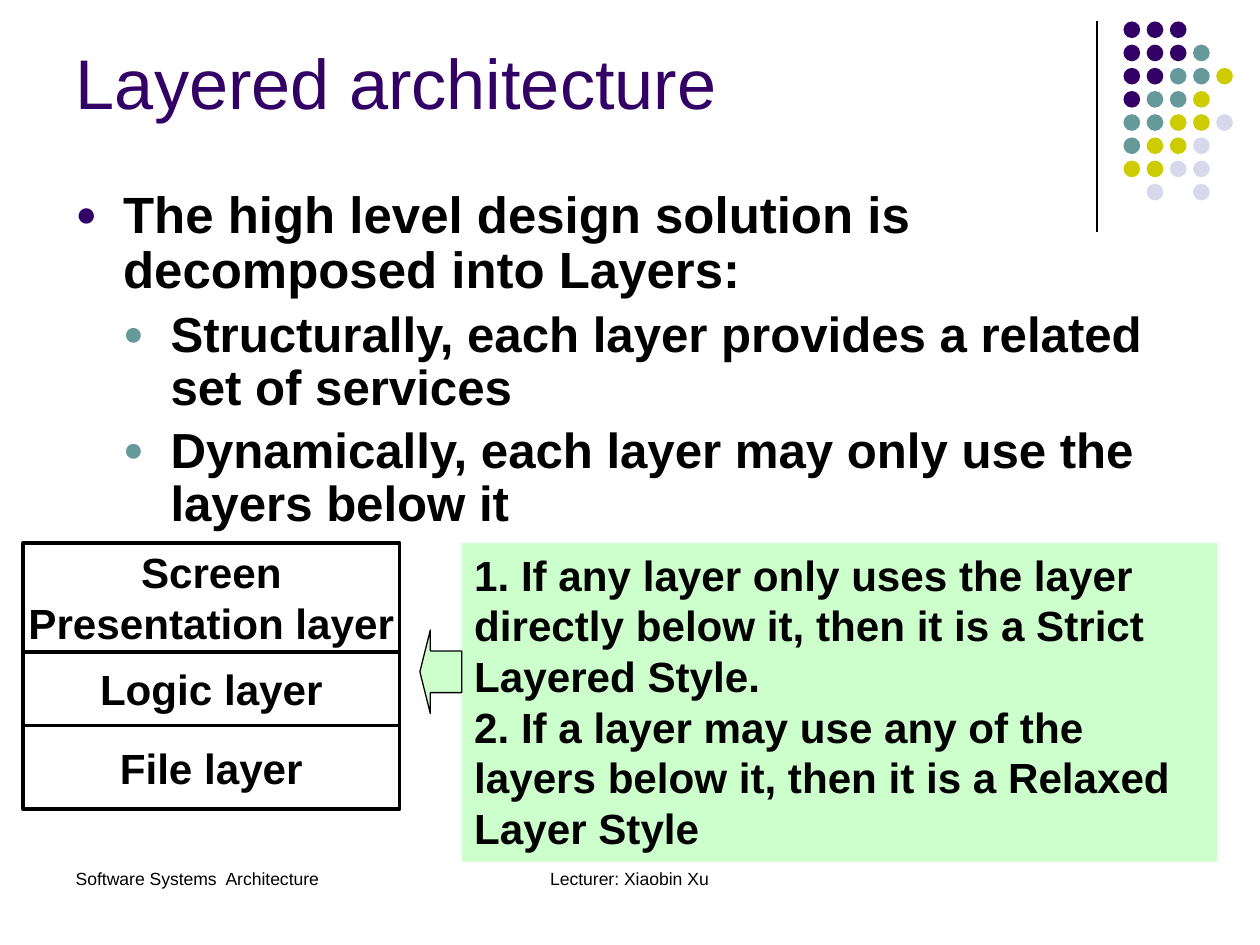
from lxml import etree
from pptx import Presentation
from pptx.dml.color import RGBColor
from pptx.enum import shapes, text
from pptx.oxml import ns
from pptx.util import Pt

BLACK = RGBColor(0x00, 0x00, 0x00)
WHITE = RGBColor(0xFF, 0xFF, 0xFF)
PURPLE = RGBColor(0x33, 0x00, 0x66)
TEAL = RGBColor(0x66, 0x99, 0x99)
OLIVE = RGBColor(0xCC, 0xCC, 0x00)
LILAC = RGBColor(0xD8, 0xD8, 0xEC)
GREEN = RGBColor(0xCC, 0xFF, 0xCC)

LEFT, CENTER = text.PP_ALIGN.LEFT, text.PP_ALIGN.CENTER
TOP, MIDDLE = text.MSO_ANCHOR.TOP, text.MSO_ANCHOR.MIDDLE
KIND = shapes.MSO_SHAPE

DOTS = ["PPP", "PPPT", "PPTTO", "PTTO", "TTOOL", "TOOL", "OOLL", " L L"]
TINTS = {"P": PURPLE, "T": TEAL, "O": OLIVE, "L": LILAC}
POINTS = [
    (0, "The high level design solution is decomposed into Layers:"),
    (1, "Structurally, each layer provides a related set of services"),
    (1, "Dynamically, each layer may only use the layers below it"),
]
LAYERS = [
    ("Screen\nPresentation layer", 62),
    ("Logic layer", 42),
    ("File layer", 47.5),
]
STYLES = (
    "1. If any layer only uses the layer directly below it, "
    "then it is a Strict Layered Style.\n"
    "2. If a layer may use any of the layers below it, "
    "then it is a Relaxed Layer Style"
)


class Page:
    def __init__(self, deck, font):
        self.font = font
        self.slide = deck.slides.add_slide(deck.slide_layouts[5])
        self.items = self.slide.shapes

    def fill_in(self, shape, words, size, color=BLACK, bold=False,
                align=LEFT, anchor=TOP, wrap=True):
        """Put styled words into a shape."""
        frame = shape.text_frame
        frame.text = words
        frame.word_wrap = wrap
        frame.auto_size = text.MSO_AUTO_SIZE.NONE
        frame.vertical_anchor = anchor
        for para in frame.paragraphs:
            para.alignment = align
            for run in para.runs:
                self.style(run, size, color, bold)

    def style(self, run, size, color, bold):
        run.font.name = self.font
        run.font.size = Pt(size)
        run.font.bold = bold
        run.font.color.rgb = color

    def title(self, words, x, y, w, h):
        head = self.items.title
        head.left, head.top, head.width, head.height = map(Pt, (x, y, w, h))
        self.fill_in(head, words, 40, PURPLE, anchor=MIDDLE)

    def label(self, words, x, y, w, h, size, align=LEFT):
        box = self.items.add_textbox(*map(Pt, (x, y, w, h)))
        self.fill_in(box, words, size, align=align)

    def shape(self, kind, x, y, w, h, fill, line=0):
        item = self.items.add_shape(kind, *map(Pt, (x, y, w, h)))
        item.shadow.inherit = False
        item.fill.solid()
        item.fill.fore_color.rgb = fill
        if line:
            item.line.color.rgb = BLACK
            item.line.width = Pt(line)
        else:
            item.line.fill.background()
        return item

    def rule(self, x, top, end):
        line = self.items.add_connector(
            shapes.MSO_CONNECTOR.STRAIGHT, Pt(x), Pt(top), Pt(x), Pt(end))
        line.line.color.rgb = BLACK
        line.line.width = Pt(0.75)
        etree.SubElement(line._element.spPr, ns.qn("a:effectLst"))

    def bullets(self, points, x, y, w, h):
        frame = self.items.add_textbox(*map(Pt, (x, y, w, h))).text_frame
        frame.word_wrap = True
        frame.text = "\n".join(words for level, words in points)
        for place, (para, (level, words)) in enumerate(
                zip(frame.paragraphs, points)):
            para.level = level
            self.bullet(para, (27, 54)[level], (PURPLE, TEAL)[level])
            para.line_spacing = 0.9
            para.space_before = Pt(5.6 if place else 0)
            self.style(para.runs[0], (29, 28)[level], BLACK, True)

    def bullet(self, para, indent, color):
        props = para._p.get_or_add_pPr()
        props.set("marL", str(Pt(indent)))
        props.set("indent", str(Pt(-27)))
        tint = etree.SubElement(props, ns.qn("a:buClr"))
        etree.SubElement(tint, ns.qn("a:srgbClr"), val=str(color))
        etree.SubElement(props, ns.qn("a:buSzPct"), val="70000")
        etree.SubElement(props, ns.qn("a:buFont"), typeface=self.font)
        etree.SubElement(props, ns.qn("a:buChar"), char="●")


def main():
    deck = Presentation()
    deck.slide_width, deck.slide_height = Pt(717.12), Pt(537.84)
    page = Page(deck, "Arial")

    page.rule(624.3, 12.2, 131.8)
    for row, marks in enumerate(DOTS):
        for col, mark in enumerate(marks):
            if mark in TINTS:
                page.shape(KIND.OVAL, 639.4 + 13.2 * col, 12.2 + 13.2 * row,
                           9.5, 9.5, TINTS[mark])

    page.title("Layered architecture", 36, 12.2, 645, 68.4)
    page.bullets(POINTS, 36, 104.4, 645, 212.4)

    top = 309
    for name, tall in LAYERS:
        layer = page.shape(KIND.RECTANGLE, 13, top, 214.5, tall, WHITE, 2)
        page.fill_in(layer, name, 24, bold=True, align=CENTER,
                     anchor=MIDDLE, wrap=False)
        top += tall

    note = page.shape(KIND.RECTANGLE, 262.8, 309, 430, 181.4, GREEN)
    page.fill_in(note, STYLES, 24, bold=True)
    arrow = page.shape(KIND.LEFT_ARROW, 239, 358.6, 23.8, 47.5, GREEN, 0.75)
    arrow.adjustments[0] = 0.5
    arrow.adjustments[1] = 0.25

    page.label("Software Systems  Architecture", 36, 490.3, 167, 36, 10)
    page.label("Lecturer: Xiaobin Xu", 244.8, 490.3, 226.8, 36, 10, CENTER)
    deck.save("out.pptx")


if __name__ == "__main__":
    main()
